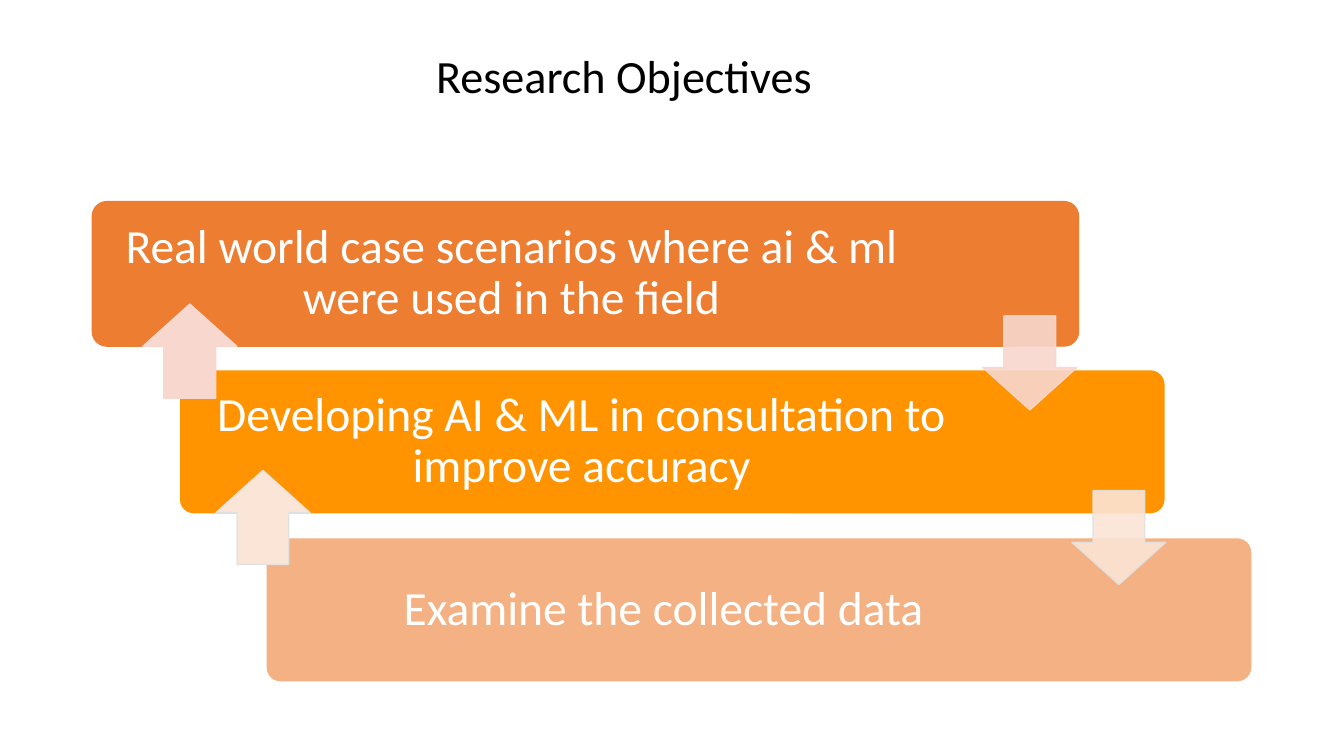
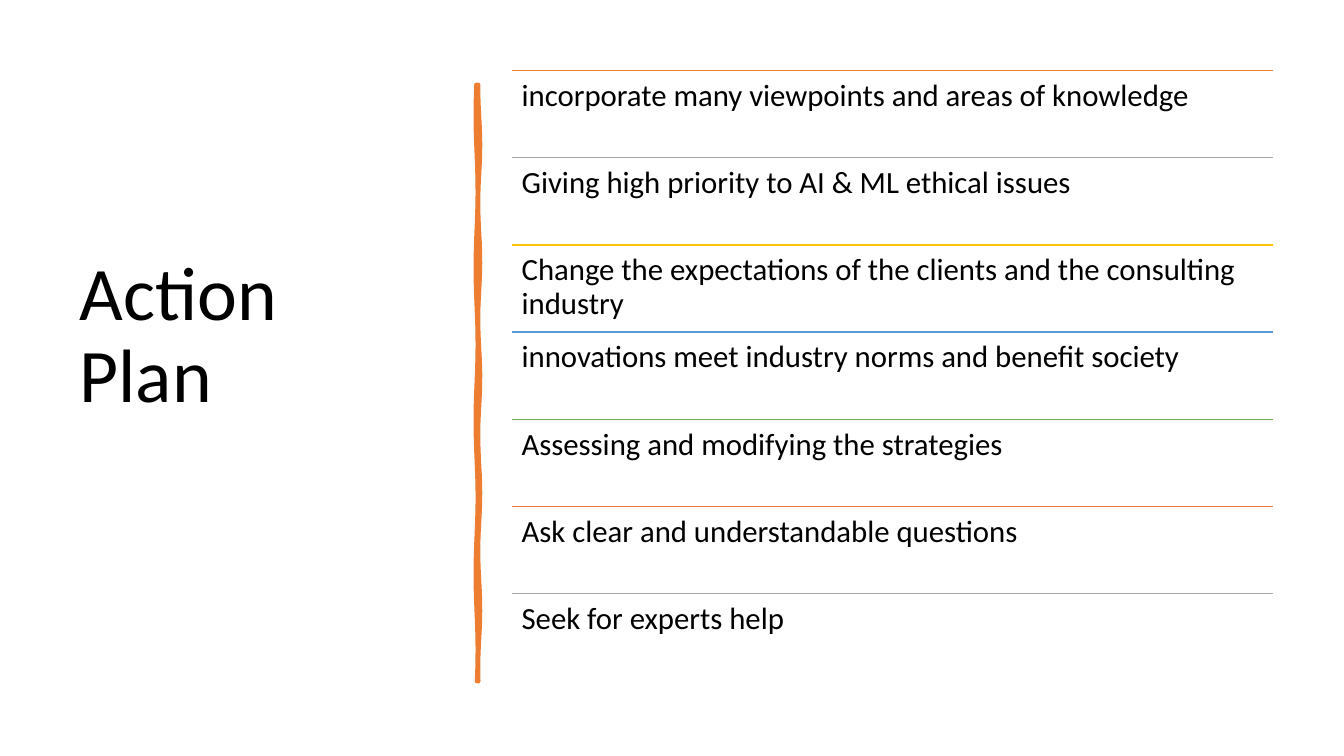
import math
from dataclasses import dataclass

import pptx
import pptx.dml.color
import pptx.enum.shapes
import pptx.enum.text
import pptx.oxml.ns
import pptx.util
from lxml import etree

COLS, ROWS = 160, 90
CELL = pptx.util.Inches(7.5) // ROWS
SHAPES = pptx.enum.shapes.MSO_SHAPE
ANCHOR = pptx.enum.text.MSO_ANCHOR
ALIGN = pptx.enum.text.PP_ALIGN


@dataclass(frozen=True)
class Theme:
    font: str = "Calibri"
    ink: str = "000000"
    paper: str = "FFFFFF"
    orange: str = "ED7D31"
    amber: str = "FF9300"
    peach: str = "F4B183"
    blush: str = "F8D7CE"
    cream: str = "FBE5D6"
    edge: str = "E1E1E1"
    rules: tuple = ("ED7D31", "A5A5A5", "FFC000", "5B9BD5", "70AD47")
    heading: int = 33
    side_title: int = 54
    step: int = 34
    item: int = 22
    hairline: float = 1
    brush: float = 3.25


T = Theme()


def grid(*cells):
    return [round(c * CELL) for c in cells]


def rgb(color):
    return pptx.dml.color.RGBColor.from_string(color)


def add_alpha(fill_owner, percent):
    for clr in fill_owner.iter(pptx.oxml.ns.qn("a:srgbClr")):
        alpha = etree.SubElement(clr, pptx.oxml.ns.qn("a:alpha"))
        alpha.set("val", str(percent * 1000))


def paint(sp, fill, line, width=T.hairline):
    sp.shadow.inherit = False
    sp.fill.solid()
    sp.fill.fore_color.rgb = rgb(fill)
    sp.line.color.rgb = rgb(line)
    sp.line.width = pptx.util.Pt(width)


def write(sp, text, size, color=T.ink, align=ALIGN.LEFT, anchor=ANCHOR.TOP,
          insets=(1.2, 0.6, 1.2, 0.6), spacing=0.9):
    tf = sp.text_frame
    tf.word_wrap = True
    tf.vertical_anchor = anchor
    tf.margin_left, tf.margin_top, tf.margin_right, tf.margin_bottom = grid(*insets)
    p = tf.paragraphs[0]
    p.text = text
    p.alignment = align
    p.line_spacing = spacing
    r = p.runs[0]
    r.font.name = T.font
    r.font.size = pptx.util.Pt(size)
    r.font.color.rgb = rgb(color)


def add_text(s, box, text, size, **style):
    write(s.shapes.add_textbox(*grid(*box)), text, size, **style)


def add_step(s, box, text, fill, line, right_inset):
    sp = s.shapes.add_shape(SHAPES.ROUNDED_RECTANGLE, *grid(*box))
    sp.adjustments[0] = 0.1
    paint(sp, fill, line)
    write(sp, text, T.step, T.paper, ALIGN.CENTER, ANCHOR.MIDDLE,
          (2.2, 1.7, right_inset, 1.7))


def add_arrow(s, kind, col, row, fill, line, opacity=100):
    side = 11.2
    sp = s.shapes.add_shape(kind, *grid(col, row, side, side))
    sp.adjustments[0] = 0.55
    sp.adjustments[1] = 0.45
    paint(sp, fill, line)
    if opacity < 100:
        add_alpha(sp._element.spPr, opacity)


def add_rule(s, col, row, width, color):
    cx = s.shapes.add_connector(pptx.enum.shapes.MSO_CONNECTOR.STRAIGHT,
                                *grid(col, row, col + width, row))
    cx.line.color.rgb = rgb(color)
    cx.line.width = pptx.util.Pt(T.hairline)
    etree.SubElement(cx._element.spPr, pptx.oxml.ns.qn("a:effectLst"))


def add_brush_stroke(s, col, top, bottom, color):
    count, half, sway = 60, 0.13, 0.12
    rows = [top + (bottom - top) * i / count for i in range(count + 1)]
    right = [(col + half + sway * math.sin(y / 2.2), y) for y in rows]
    left = [(col - half + sway * math.sin(y / 2.9), y) for y in reversed(rows)]
    start, *rest = [tuple(grid(*point)) for point in right + left]
    fb = s.shapes.build_freeform(*start)
    fb.add_line_segments(rest, close=True)
    paint(fb.convert_to_shape(), color, color, T.brush)


def objectives_slide(s):
    add_text(s, (34.3, 5, 80, 14.5), "Research Objectives", T.heading,
             align=ALIGN.CENTER, spacing=1.0)
    steps = [
        ("Real world case scenarios where ai & ml were used in the field",
         T.orange, T.orange, 19.8),
        ("Developing AI & ML in consultation to improve accuracy",
         T.amber, T.paper, 23.8),
        ("Examine the collected data", T.peach, T.paper, 24.9),
    ]
    for i, step in enumerate(steps):
        add_step(s, (11 + 10.33 * i, 24 + 20 * i, 117.4, 17.2), *step)
    arrows = [
        (T.blush, T.blush, (117, 37.6), (17, 36.2)),
        (T.cream, T.edge, (127.6, 58.4), (25.7, 56)),
    ]
    for fill, line, down, up in arrows:
        add_arrow(s, SHAPES.DOWN_ARROW, *down, fill, line, 90)
        add_arrow(s, SHAPES.UP_ARROW, *up, fill, line)


def action_slide(s):
    add_text(s, (8.3, 8.4, 44.9, 73.3), "Action Plan", T.side_title,
             anchor=ANCHOR.MIDDLE, insets=(1.2, 0.6, 8, 10.4))
    add_brush_stroke(s, 56.9, 10.1, 81.1, T.orange)
    items = [
        "incorporate many viewpoints and areas of knowledge",
        "Giving high priority to AI & ML ethical issues",
        "Change the expectations of the clients and the consulting industry",
        "innovations meet industry norms and benefit society",
        "Assessing and modifying the strategies",
        "Ask clear and understandable questions",
        "Seek for experts help",
    ]
    col, width, pitch = 61, 90.6, 10.38
    for i, item in enumerate(items):
        row = 8.4 + pitch * i
        add_rule(s, col, row, width, T.rules[i % len(T.rules)])
        add_text(s, (col, row, width, pitch), item, T.item,
                 insets=(1.1, 1.1, 1.1, 1.1))


def main():
    prs = pptx.Presentation()
    prs.slide_width, prs.slide_height = grid(COLS, ROWS)
    for build in (objectives_slide, action_slide):
        build(prs.slides.add_slide(prs.slide_layouts[6]))
    prs.save("out.pptx")


if __name__ == "__main__":
    main()
